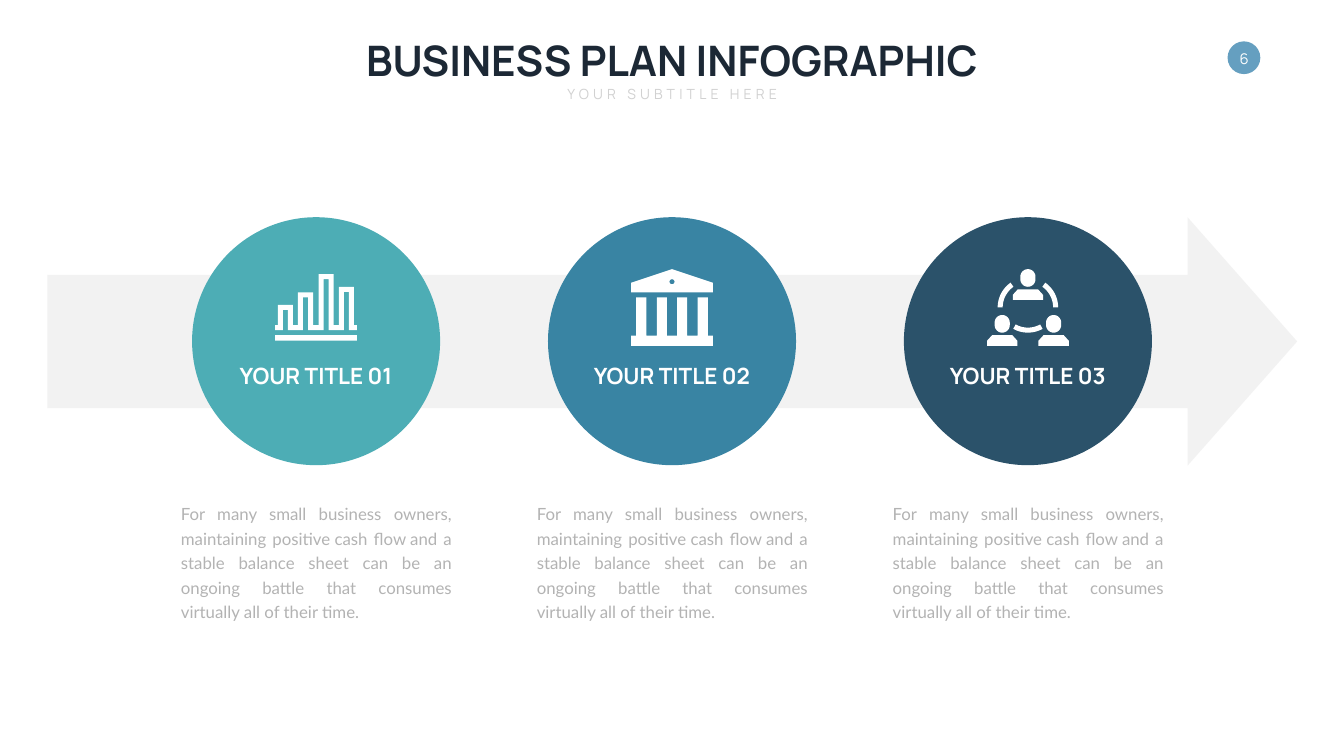
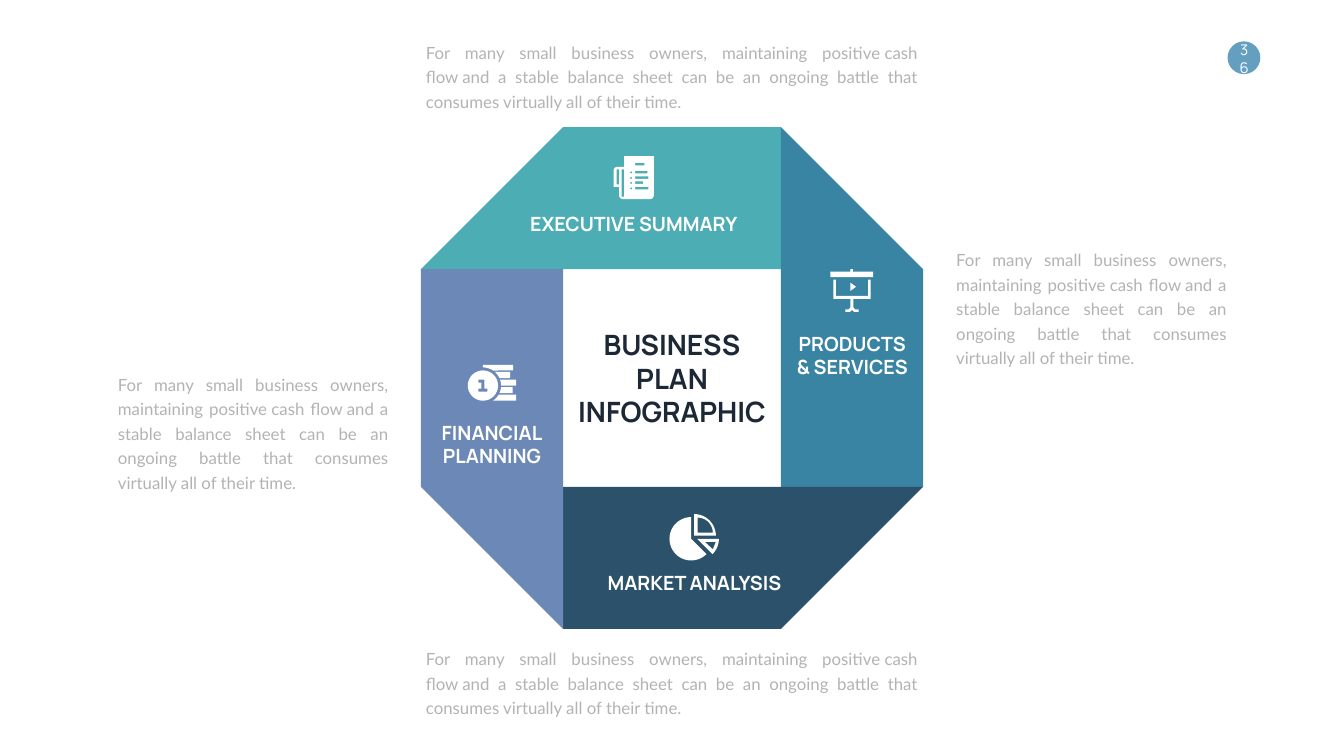
"""Builds two business plan infographic slides."""
from dataclasses import dataclass
from math import asin, cos, degrees, radians, sin

from pptx import Presentation
from pptx.dml.color import RGBColor
from pptx.enum.shapes import MSO_SHAPE
from pptx.enum.text import MSO_ANCHOR, MSO_AUTO_SIZE, PP_ALIGN
from pptx.util import Inches, Pt

OVAL = MSO_SHAPE.OVAL
ARROW = MSO_SHAPE.RIGHT_ARROW
TOP, MIDDLE = MSO_ANCHOR.TOP, MSO_ANCHOR.MIDDLE
CENTER, JUSTIFY = PP_ALIGN.CENTER, PP_ALIGN.JUSTIFY
GROW = MSO_AUTO_SIZE.SHAPE_TO_FIT_TEXT


@dataclass(frozen=True)
class Theme:
    """Colours, fonts and type sizes shared by the slides."""
    white: str = "FFFFFF"
    ink: str = "1C2835"
    body: str = "B3B3B3"
    subtitle: str = "D1D1D1"
    band: str = "F2F2F2"
    badge: str = "659FC0"
    teal: str = "4DADB5"
    blue: str = "3984A3"
    navy: str = "2B526A"
    violet: str = "6C88B7"
    heading_font: str = "Manrope"
    body_font: str = "Lato"
    title_size: int = 60
    center_size: int = 40
    step_size: int = 32
    panel_size: int = 28
    body_size: int = 24
    body_leading: int = 35
    badge_size: int = 21
    subtitle_size: int = 20


THEME = Theme()
PLAN_TITLE = "BUSINESS PLAN INFOGRAPHIC"
HARD_SPACE = chr(160)
BODY_TEXT = (f"For many small business owners, maintaining positive{HARD_SPACE}cash "
             f"flow{HARD_SPACE}and a stable balance sheet can be an ongoing battle that "
             "consumes virtually all of their time. ")


def paint(shape, color):
    """Give a shape a flat fill without line or shadow."""
    shape.shadow.inherit = False
    shape.line.fill.background()
    if color:
        shape.fill.solid()
        shape.fill.fore_color.rgb = RGBColor.from_string(color)
    else:
        shape.fill.background()
    return shape


def add_preset(slide, kind, box, color=None):
    """Add a preset shape in the given box."""
    return paint(slide.shapes.add_shape(kind, *map(Inches, box)), color)


def add_outline(slide, contours, color):
    """Add one freeform made of closed contours, given in inches."""
    builder = None
    for contour in contours:
        start, *rest = [(Inches(x), Inches(y)) for x, y in contour]
        if builder is None:
            builder = slide.shapes.build_freeform(*start, scale=1.0)
        else:
            builder.move_to(*start)
        builder.add_line_segments(rest, close=True)
    return paint(builder.convert_to_shape(), color)


def write(shape, text, *, size, color, font=THEME.heading_font, bold=False, align=CENTER,
          anchor=MIDDLE, wrap=False, leading=None, tracking=0):
    """Write text into a shape, one paragraph per line."""
    frame = shape.text_frame
    frame.word_wrap, frame.auto_size, frame.vertical_anchor = wrap, GROW, anchor
    for index, line in enumerate(text.split("\n")):
        paragraph = frame.add_paragraph() if index else frame.paragraphs[0]
        paragraph.alignment = align
        if leading:
            paragraph.line_spacing = Pt(leading)
        run = paragraph.add_run()
        run.text = line
        run.font.name, run.font.size, run.font.bold = font, Pt(size), bold
        run.font.color.rgb = RGBColor.from_string(color)
        if tracking:
            run._r.get_or_add_rPr().set("spc", str(tracking * 100))


def add_text(slide, box, text, **style):
    """Add a text box."""
    write(slide.shapes.add_textbox(*map(Inches, box)), text, **style)


def add_body(slide, box, anchor=MIDDLE):
    """Add the justified description."""
    add_text(slide, box, BODY_TEXT, size=THEME.body_size, color=THEME.body,
             font=THEME.body_font, align=JUSTIFY, anchor=anchor, wrap=True,
             leading=THEME.body_leading)


def add_label(slide, box, text, size, anchor=MIDDLE):
    """Add a white bold label."""
    add_text(slide, box, text, size=size, color=THEME.white, bold=True, anchor=anchor)


def add_numbered_slide(deck, number):
    """Add a blank slide with its number badge."""
    slide = deck.slides.add_slide(deck.slide_layouts[6])
    add_preset(slide, OVAL, (24.35, 0.82, 0.65, 0.65), THEME.badge)
    write(add_preset(slide, OVAL, (24.36, 0.84, 0.64, 0.64)), str(number),
          size=THEME.badge_size, color=THEME.white)
    return slide


def rect(left, top, width, height):
    """Return the corners of a rectangle."""
    return [(left, top), (left + width, top),
            (left + width, top + height), (left, top + height)]


def arc(x, y, radius, start, end, steps=16):
    """Return points along an arc, in degrees clockwise from the right."""
    angles = [radians(start + (end - start) * i / steps) for i in range(steps + 1)]
    return [(x + radius * cos(a), y + radius * sin(a)) for a in angles]


def circle(x, y, radius):
    """Return points around a circle."""
    return arc(x, y, radius, 0, 360, 48)


def ring_part(x, y, outer, inner, start, end):
    """Return the outline of a part of a ring."""
    return arc(x, y, outer, start, end) + arc(x, y, inner, end, start)


def bars_icon():
    """Return a bar chart drawn as one line over a base."""
    bars = [(5.51, 6.05), (5.91, 5.8), (6.32, 5.44), (6.72, 5.69)]
    skyline = [(5.46, 6.55), (5.46, 6.45)]
    for x, top in bars:
        skyline += [(x, 6.45), (x, top), (x + 0.3, top), (x + 0.3, 6.45)]
    skyline += [(7.08, 6.45), (7.08, 6.55)]
    for x, top in reversed(bars):
        skyline += [(x + 0.2, 6.55), (x + 0.2, top + 0.1),
                    (x + 0.1, top + 0.1), (x + 0.1, 6.55)]
    return [rect(5.46, 6.65, 1.62, 0.11), skyline]


def bank_icon():
    """Return a bank with four columns and a pediment."""
    columns = [(12.52, 6.86), (12.52, 6.66)]
    for x in (12.62, 13.03, 13.43, 13.84):
        columns += [(x, 6.66), (x, 5.9), (x + 0.2, 5.9), (x + 0.2, 6.66)]
    columns += [(14.14, 6.66), (14.14, 6.86)]
    roof = [(13.33, 5.34), (14.14, 5.61), (14.14, 5.8), (12.52, 5.8), (12.52, 5.61)]
    return [columns, roof, circle(13.33, 5.59, 0.05)]


def team_icon():
    """Return three people joined by ring parts."""
    contours = []
    for x, top in ((20.39, 5.34), (19.88, 6.25), (20.9, 6.25)):
        contours.append(arc(x, top + 0.15, 0.15, 180, 360) + arc(x, top + 0.2, 0.15, 0, 180))
        contours.append([(x - 0.2, top + 0.4), (x + 0.2, top + 0.4), (x + 0.3, top + 0.51),
                         (x + 0.3, top + 0.61), (x - 0.3, top + 0.61), (x - 0.3, top + 0.51)])
    for outer, start, end in ((0.6, 180, 235), (0.6, 305, 360)):
        contours.append(ring_part(20.39, 6.1, outer, outer - 0.1, start, end))
    contours.append(ring_part(20.39, 6.0, 0.6, 0.5, 61, 119))
    return contours


def report_icon():
    """Return a folded report with five lines."""
    page = ([(12.38, 3.1), (12.38, 3.31)] + arc(12.25, 3.39, 0.08, 270, 180)
            + [(12.17, 3.71), (12.28, 3.71)] + arc(12.36, 3.87, 0.08, 180, 90)
            + arc(12.89, 3.87, 0.08, 90, 0) + [(12.97, 3.1)])
    lines = [(12.6, 3.23, 0.18), (12.6, 3.39, 0.24), (12.6, 3.5, 0.26),
             (12.6, 3.6, 0.16), (12.6, 3.71, 0.26)]
    folds = [rect(12.33, 3.36, 0.05, 0.54), rect(12.23, 3.36, 0.05, 0.3)]
    bullets = [circle(12.52, y + 0.03, 0.02) for _, y, _ in lines[1:]]
    return [page, *folds, *bullets] + [rect(x, y, width, 0.05) for x, y, width in lines]


def screen_icon():
    """Return a projection screen on a stand."""
    play = [(16.87, 5.61), (16.98, 5.69), (16.87, 5.77)]
    board = [(16.53, 5.55), (16.58, 5.55), (16.58, 5.87), (17.22, 5.87), (17.22, 5.55),
             (17.27, 5.55), (17.27, 5.93), (16.93, 5.93), (16.93, 6.1), (16.96, 6.14),
             (17.03, 6.14), (17.03, 6.19), (16.94, 6.19), (16.9, 6.15), (16.86, 6.19),
             (16.77, 6.19), (16.77, 6.14), (16.83, 6.14), (16.87, 6.1), (16.87, 5.93),
             (16.53, 5.93)]
    rail = [(16.87, 5.34), (16.92, 5.34), (16.92, 5.39), (17.32, 5.39), (17.32, 5.5),
            (16.47, 5.5), (16.47, 5.39), (16.87, 5.39)]
    return [play, board, rail]


def pie_icon():
    """Return a pie with two slices pulled out."""
    return [[(13.71, 10.69)] + arc(13.71, 10.69, 0.43, 45, 270, 40),
            [(13.77, 10.63)] + arc(13.77, 10.63, 0.43, 270, 360),
            [(13.84, 10.57)] + arc(13.84, 10.57, 0.3, 270, 360),
            [(13.83, 10.69)] + arc(13.83, 10.69, 0.43, 0, 45),
            [(13.98, 10.75), (14.2, 10.75), (14.14, 10.9)]]


def coins_icon():
    """Return a coin in front of a stack."""
    x, y, gap_radius = 9.58, 7.65, 0.36
    digit = [(9.49, 7.53), (9.61, 7.53), (9.61, 7.71), (9.67, 7.71), (9.67, 7.77),
             (9.49, 7.77), (9.49, 7.71), (9.55, 7.71), (9.55, 7.59), (9.49, 7.59)]
    contours = [circle(x, y, 0.3), digit,
                [(x, 7.24), (10.18, 7.24), (10.18, 7.35)] + arc(x, y, gap_radius, -56, -90)]
    for top, right in ((7.38, 10.12), (7.53, 10.24), (7.68, 10.17), (7.83, 10.24)):
        bottom = top + 0.12
        start, end = (degrees(asin((edge - y) / gap_radius)) for edge in (top, bottom))
        contours.append(arc(x, y, gap_radius, start, end) + [(right, bottom), (right, top)])
    return contours


def build_arrow_slide(deck):
    """Build three steps along an arrow."""
    slide = add_numbered_slide(deck, 6)
    arrow = add_preset(slide, ARROW, (0.94, 4.31, 24.79, 4.93), THEME.band)
    arrow.adjustments[0], arrow.adjustments[1] = 0.536, 0.441
    steps = [(THEME.teal, bars_icon), (THEME.blue, bank_icon), (THEME.navy, team_icon)]
    for index, (color, icon) in enumerate(steps):
        left = 3.81 + 7.06 * index
        add_preset(slide, OVAL, (left, 4.31, 4.92, 4.92), color)
        add_outline(slide, icon(), THEME.white)
        add_label(slide, (left + 0.8, 7.13, 3.32, 0.64), f"YOUR TITLE {index + 1:02}",
                  THEME.step_size)
        add_body(slide, (left - 0.32, 9.86, 5.57, 2.5), TOP)
    add_text(slide, (7.02, 0.64, 12.62, 1.11), PLAN_TITLE, size=THEME.title_size,
             color=THEME.ink, bold=True, anchor=TOP)
    add_text(slide, (11.12, 1.64, 4.43, 0.44), "YOUR SUBTITLE HERE",
             size=THEME.subtitle_size, color=THEME.subtitle, anchor=TOP, tracking=6)


def build_octagon_slide(deck):
    """Build four panels turning around the plan title."""
    slide = add_numbered_slide(deck, 36)
    center_x, center_y, width, height = 13.33, 7.5, 7.14, 2.82
    panels = [
        (THEME.teal, report_icon, "EXECUTIVE SUMMARY", (10.34, 4.15, 4.46, 0.57), MIDDLE),
        (THEME.blue, screen_icon, "PRODUCTS\n& SERVICES", (15.67, 6.53, 2.47, 1.04), TOP),
        (THEME.navy, pie_icon, "MARKET ANALYSIS", (11.86, 11.28, 3.83, 0.57), MIDDLE),
        (THEME.violet, coins_icon, "FINANCIAL\nPLANNING", (8.61, 8.3, 2.3, 1.04), TOP),
    ]
    offset_x, offset_y = -1.41, -3.57
    for turn, (color, icon, label, label_box, anchor) in enumerate(panels):
        left = center_x + offset_x - width / 2
        top = center_y + offset_y - height / 2
        panel = add_outline(slide, [[(left + height, top), (left + width, top),
                                     (left + width, top + height), (left, top + height)]], color)
        panel.rotation = 90 * turn
        offset_x, offset_y = -offset_y, offset_x
        add_outline(slide, icon(), THEME.white)
        add_label(slide, label_box, label, THEME.panel_size, anchor)
    add_text(slide, (11.17, 6.44, 4.32, 2.12), PLAN_TITLE, size=THEME.center_size,
             color=THEME.ink, bold=True, wrap=True)
    for box in ((18.87, 4.84, 5.56, 2.5), (2.24, 7.31, 5.56, 2.5),
                (8.35, 12.76, 9.95, 1.52), (8.35, 0.73, 9.95, 1.52)):
        add_body(slide, box)


def main():
    """Build and save the deck."""
    deck = Presentation()
    deck.slide_width, deck.slide_height = Inches(26.66), Inches(15)
    build_arrow_slide(deck)
    build_octagon_slide(deck)
    deck.save("out.pptx")


if __name__ == "__main__":
    main()
